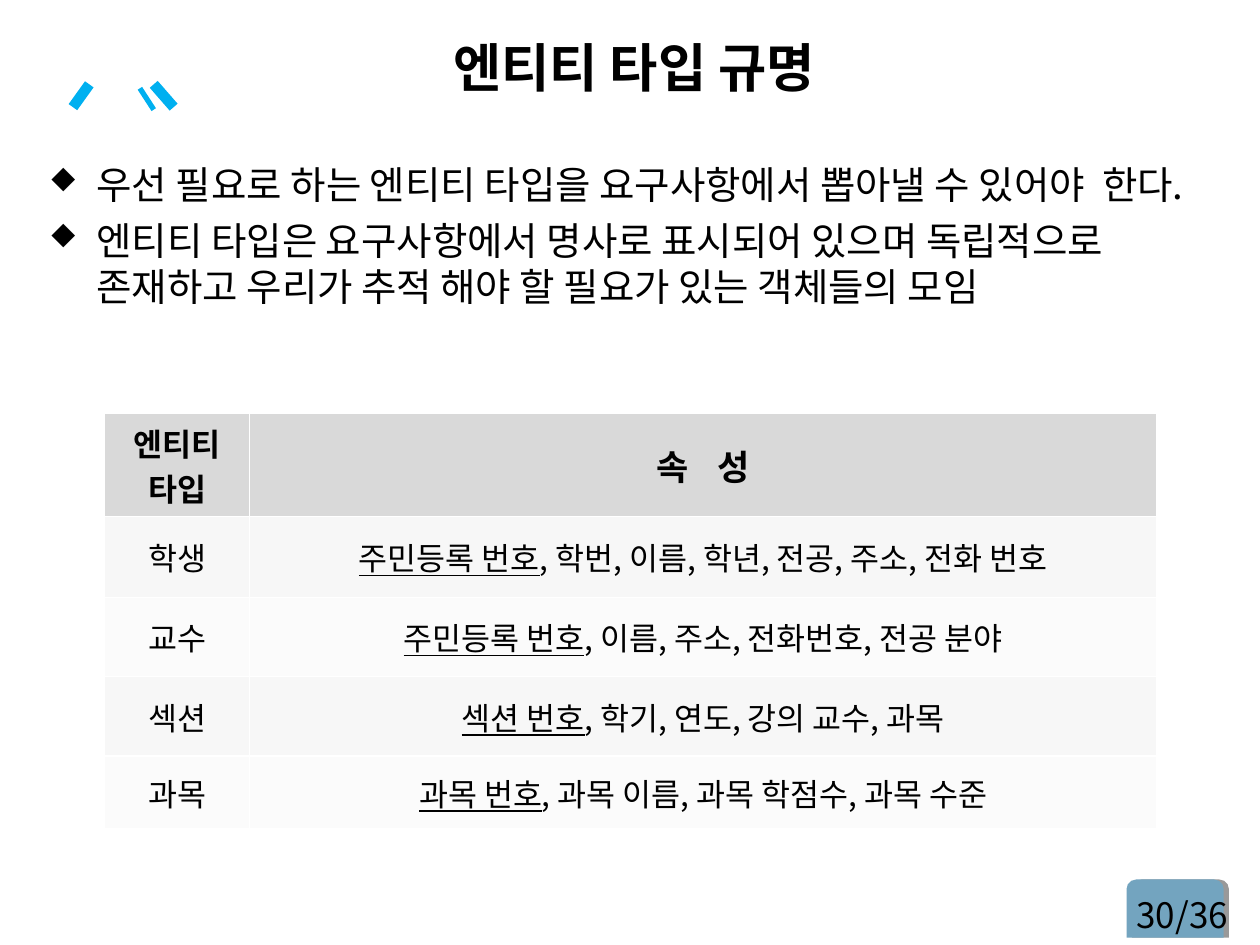
from lxml import etree
from pptx import Presentation
from pptx.dml.color import RGBColor
from pptx.enum.shapes import MSO_CONNECTOR, MSO_SHAPE
from pptx.enum.text import MSO_ANCHOR, MSO_AUTO_SIZE, PP_ALIGN
from pptx.oxml import parse_xml
from pptx.oxml.ns import nsdecls, qn
from pptx.util import Cm, Pt

KOREAN_FONT = "Noto Sans CJK KR"
NUMBER_FONT = "Noto Sans CJK SC"
BULLETS = [
    "우선 필요로 하는 엔티티 타입을 요구사항에서 뽑아낼 수 있어야  한다.",
    "엔티티 타입은 요구사항에서 명사로 표시되어 있으며 독립적으로 존재하고 "
    "우리가 추적 해야 할 필요가 있는 객체들의 모임",
]
# Entity type, key attribute, other attributes
ENTITIES = [
    ("학생", "주민등록 번호", ", 학번, 이름, 학년, 전공, 주소, 전화 번호"),
    ("교수", "주민등록 번호", ", 이름, 주소, 전화번호, 전공 분야"),
    ("섹션", "섹션 번호", ", 학기, 연도, 강의 교수, 과목"),
    ("과목", "과목 번호", ", 과목 이름, 과목 학점수, 과목 수준"),
]


def color(hex_value):
    return RGBColor.from_string(hex_value)


def add_run(paragraph, text, size, name=KOREAN_FONT, **formats):
    """Add black text whose font also applies to East Asian letters."""
    run = paragraph.add_run()
    run.text = text
    for key, value in {"size": Pt(size), "name": name, **formats}.items():
        setattr(run.font, key, value)
    run.font.color.rgb = color("000000")
    etree.SubElement(run._r.get_or_add_rPr(), qn("a:ea"), typeface=name)
    return run


def add_text_box(slide, left, top, width, height):
    box = slide.shapes.add_textbox(Cm(left), Cm(top), Cm(width), Cm(height))
    box.text_frame.word_wrap = True
    return box.text_frame


def add_marks(slide, left, top):
    """Draw the three slanted strokes beside the title."""
    strokes = [
        (0.33, 0, 0, 0.46, 6),
        (1.35, 0.08, 1.63, 0.51, 3),
        (1.63, 0, 2.03, 0.46, 6),
    ]
    for start_x, start_y, end_x, end_y, weight in strokes:
        stroke = slide.shapes.add_connector(
            MSO_CONNECTOR.STRAIGHT,
            Cm(left + start_x), Cm(top + start_y),
            Cm(left + end_x), Cm(top + end_y))
        stroke.line.color.rgb = color("00B0F0")
        stroke.line.width = Pt(weight)
        etree.SubElement(stroke._element.spPr, qn("a:effectLst"))


def add_page_number(slide, left, top, width, height):
    tab = slide.shapes.add_shape(
        MSO_SHAPE.ROUND_2_SAME_RECTANGLE,
        Cm(left), Cm(top), Cm(width), Cm(height))
    tab.fill.solid()
    tab.fill.fore_color.rgb = color("73A4BF")
    tab.line.fill.background()
    tab._element.spPr.append(parse_xml(
        f'<a:effectLst {nsdecls("a")}>'
        f'<a:outerShdw dist="{Pt(3)}" dir="0" algn="ctr" rotWithShape="0">'
        '<a:srgbClr val="000000"><a:alpha val="40000"/></a:srgbClr>'
        '</a:outerShdw></a:effectLst>'))
    frame = add_text_box(slide, left - 0.05, top + 0.15, width + 0.78, height)
    add_run(frame.paragraphs[0], "30/36", 20, NUMBER_FONT)


def place_title(slide, left, top, width, height):
    title = slide.shapes.title
    box = {"left": left, "top": top, "width": width, "height": height}
    for key, value in box.items():
        setattr(title, key, Cm(value))
    frame = title.text_frame
    frame.auto_size = MSO_AUTO_SIZE.NONE
    frame.vertical_anchor = MSO_ANCHOR.MIDDLE
    paragraph = frame.paragraphs[0]
    paragraph.alignment = PP_ALIGN.CENTER
    add_run(paragraph, "엔티티 타입 규명", 30, bold=True)


def add_bullets(slide, left, top, width, height):
    frame = add_text_box(slide, left, top, width, height)
    for index, text in enumerate(BULLETS):
        paragraph = frame.add_paragraph() if index else frame.paragraphs[0]
        if index:
            paragraph.space_before = Pt(5.5)
        properties = paragraph._p.get_or_add_pPr()
        properties.set("marL", str(Cm(0.96)))
        properties.set("indent", str(-Cm(0.96)))
        bullet_color = etree.SubElement(properties, qn("a:buClr"))
        etree.SubElement(bullet_color, qn("a:srgbClr"), val="000000")
        etree.SubElement(properties, qn("a:buSzPct"), val="75000")
        etree.SubElement(properties, qn("a:buFont"), typeface="Wingdings",
                         pitchFamily="2", charset="2")
        etree.SubElement(properties, qn("a:buChar"), char="u")
        add_run(paragraph, text, 22)


def format_cell(cell, fill):
    """Give the cell white borders and a fill, and return its centred paragraph."""
    properties = cell._tc.get_or_add_tcPr()
    for side in ("lnL", "lnR", "lnT", "lnB"):
        properties.append(parse_xml(
            f'<a:{side} {nsdecls("a")} w="{Pt(1)}"><a:solidFill>'
            f'<a:srgbClr val="FFFFFF"/></a:solidFill></a:{side}>'))
    cell.fill.solid()
    cell.fill.fore_color.rgb = color(fill)
    cell.vertical_anchor = MSO_ANCHOR.MIDDLE
    paragraph = cell.text_frame.paragraphs[0]
    paragraph.alignment = PP_ALIGN.CENTER
    return paragraph


def add_entity_table(slide, left, top, column_widths, row_heights):
    table = slide.shapes.add_table(
        len(row_heights), len(column_widths), Cm(left), Cm(top),
        Cm(sum(column_widths)), Cm(sum(row_heights))).table
    for column, width in zip(table.columns, column_widths):
        column.width = Cm(width)
    for row, height in zip(table.rows, row_heights):
        row.height = Cm(height)

    type_header, attribute_header = (
        format_cell(table.cell(0, column), "D9D9D9") for column in range(2))
    add_run(type_header, "엔티티 타입", 18, bold=True)
    header_run = add_run(attribute_header, "속 성", 20, bold=True)
    header_run._r.get_or_add_rPr().set("spc", "600")

    for row, (entity, key, others) in enumerate(ENTITIES, start=1):
        fill = "F7F7F7" if row % 2 else "FBFBFB"
        name_cell, attribute_cell = (
            format_cell(table.cell(row, column), fill) for column in range(2))
        add_run(name_cell, entity, 18, bold=False)
        add_run(attribute_cell, key, 18, bold=False, underline=True)
        add_run(attribute_cell, others, 18, bold=False)


def main():
    presentation = Presentation()
    presentation.slide_width = Cm(25.4)
    presentation.slide_height = Cm(19.05)
    slide = presentation.slides.add_slide(presentation.slide_layouts[5])
    add_marks(slide, 1.47, 1.7)
    add_page_number(slide, 22.71, 17.73, 1.96, 1.17)
    place_title(slide, 4.29, 0.74, 16.99, 1.19)
    add_bullets(slide, 0.74, 3.12, 23.3, 14.02)
    add_entity_table(slide, 2.11, 8.33, [2.92, 18.29],
                     [2.08, 1.63, 1.6, 1.6, 1.47])
    presentation.save("out.pptx")


if __name__ == "__main__":
    main()
